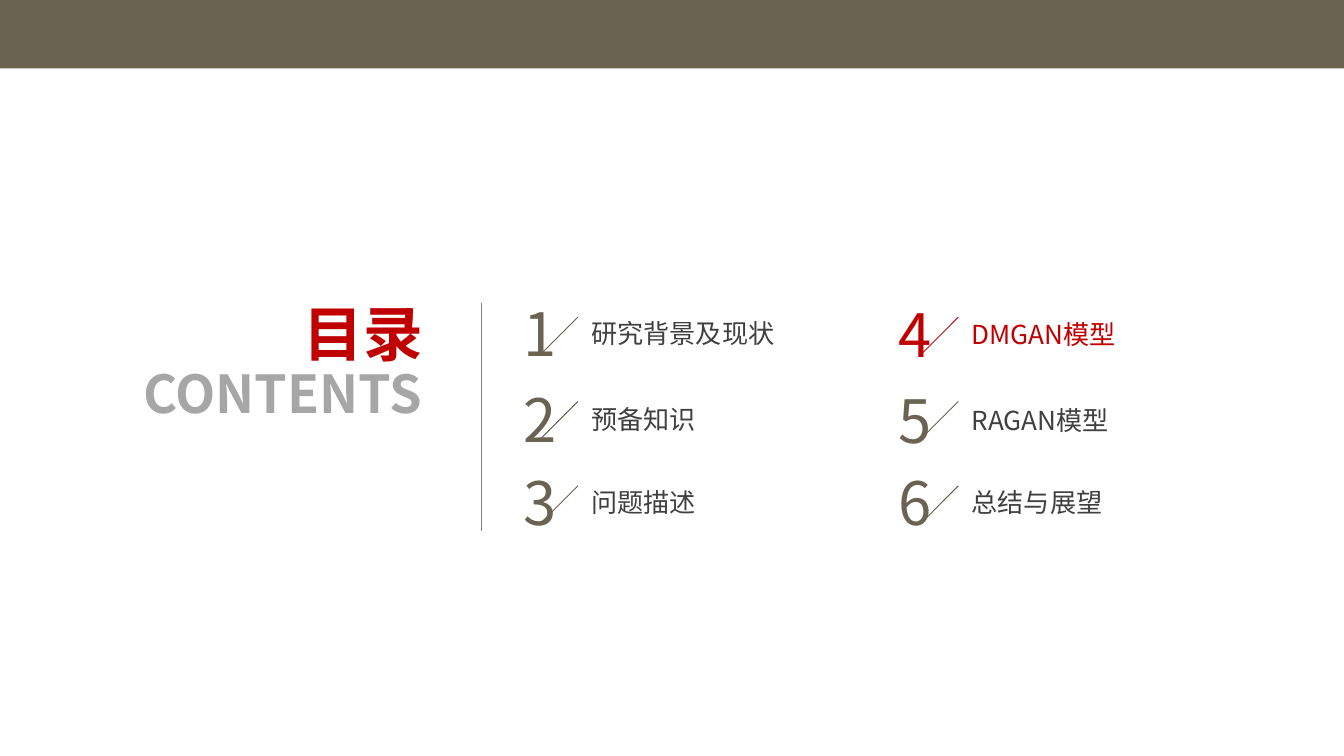
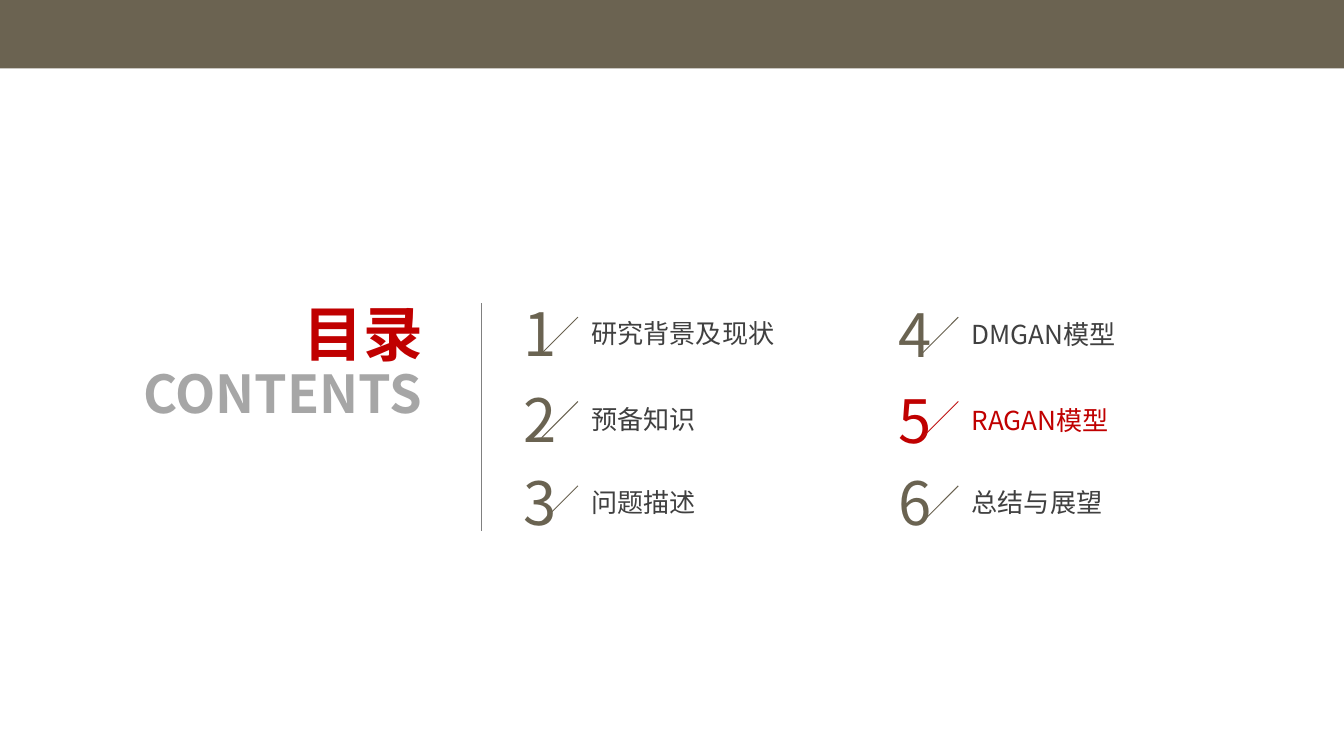
from dataclasses import dataclass

from lxml import etree
from pptx import Presentation
from pptx.dml.color import RGBColor
from pptx.enum.shapes import MSO_CONNECTOR, MSO_SHAPE
from pptx.enum.text import MSO_ANCHOR, MSO_AUTO_SIZE, PP_ALIGN
from pptx.oxml.ns import qn
from pptx.util import Pt

RECTANGLE = MSO_SHAPE.RECTANGLE
STRAIGHT = MSO_CONNECTOR.STRAIGHT
LEFT, CENTER, RIGHT = PP_ALIGN.LEFT, PP_ALIGN.CENTER, PP_ALIGN.RIGHT
TOP = MSO_ANCHOR.TOP
GROW = MSO_AUTO_SIZE.SHAPE_TO_FIT_TEXT

FONT = "Noto Sans CJK SC"
COLORS = {
    "band": "6B6351",
    "olive": "6A6351",
    "red": "C00000",
    "red_line": "BF1313",
    "label": "404040",
    "contents": "A6A6A6",
    "divider": "808080",
}
TITLE_ONLY = 5

# Agenda geometry, in points
COLUMN_LEFT = (273.6, 474.5)
COLUMN_TEXT_LEFT = (309.6, 513.4)
SLASH_TOP, SLASH_PITCH, SLASH_SIZE = 169.9, 45.2, 19.4
NUMBER_RISE = 10.8
ROWS = 3


@dataclass(frozen=True)
class Entry:
    label: str
    top: float
    width: float


@dataclass(frozen=True)
class TextStyle:
    size: float
    color: str
    bold: bool = False
    align: PP_ALIGN = LEFT
    wrap: bool = False


ENTRIES = (
    Entry("研究背景及现状", 166.3, 113.8),
    Entry("预备知识", 212.4, 71.3),
    Entry("问题描述", 257, 71.3),
    Entry("DMGAN模型", 167, 96.5),
    Entry("RAGAN模型", 213.1, 92.9),
    Entry("总结与展望", 257, 85),
)
CURRENT_ENTRIES = (4, 5)


def rgb(color: str) -> RGBColor:
    return RGBColor.from_string(COLORS[color])


def write(box, text: str, left: float, top: float, width: float, height: float,
          style: TextStyle) -> None:
    """Place a text box or placeholder and fill it with one styled run."""
    box.left, box.top, box.width, box.height = map(Pt, (left, top, width, height))
    frame = box.text_frame
    frame.word_wrap = style.wrap
    frame.auto_size = GROW
    frame.vertical_anchor = TOP
    paragraph = frame.paragraphs[0]
    paragraph.alignment = style.align
    run = paragraph.add_run()
    run.text = text
    run.font.size = Pt(style.size)
    run.font.bold = style.bold
    run.font.color.rgb = rgb(style.color)
    run.font.name = FONT
    # East Asian glyphs need their own typeface entry
    etree.SubElement(run.font._element, qn("a:ea"), typeface=FONT)


def add_text(shapes, text: str, left: float, top: float, width: float,
             height: float, style: TextStyle) -> None:
    box = shapes.add_textbox(0, 0, 0, 0)
    write(box, text, left, top, width, height, style)


def add_line(shapes, x1: float, y1: float, x2: float, y2: float, color: str) -> None:
    line = shapes.add_connector(STRAIGHT, Pt(x1), Pt(y1), Pt(x2), Pt(y2))
    line.line.color.rgb = rgb(color)
    line.line.width = Pt(0.5)
    etree.SubElement(line.element.spPr, qn("a:effectLst"))


def add_entry(slide, index: int, entry: Entry, is_current: bool) -> None:
    column, row = divmod(index, ROWS)
    text_left = COLUMN_TEXT_LEFT[column]
    label_style = TextStyle(14, "red" if is_current else "label")
    number_style = TextStyle(32, "red" if is_current else "olive", align=CENTER)
    slash_top = SLASH_TOP + row * SLASH_PITCH

    add_text(slide.shapes, entry.label, text_left, entry.top, entry.width, 24.5,
             label_style)
    marker = slide.shapes.add_group_shape()
    add_text(marker.shapes, str(index + 1), COLUMN_LEFT[column],
             entry.top - NUMBER_RISE, 29.5, 46, number_style)
    add_line(marker.shapes, text_left, slash_top, text_left - SLASH_SIZE,
             slash_top + SLASH_SIZE, "red_line" if is_current else "olive")


def add_band_to_master(prs, slide) -> None:
    """Draw the top band, then move it behind everything on the master."""
    band = slide.shapes.add_shape(RECTANGLE, 0, Pt(-0.7), prs.slide_width, Pt(37.4))
    band.shadow.inherit = False
    band.fill.solid()
    band.fill.fore_color.rgb = rgb("band")
    band.line.fill.background()
    prs.slide_master.shapes.element.insert(2, band.element)


def add_agenda(prs, current: int):
    slide = prs.slides.add_slide(prs.slide_layouts[TITLE_ONLY])
    # Heading
    write(slide.shapes.title, "目录", 155.5, 155.5, 79.2, 46,
          TextStyle(32, "red", bold=True))
    add_text(slide.shapes, "CONTENTS", 17.3, 190, 216, 41,
             TextStyle(28, "contents", bold=True, align=RIGHT, wrap=True))
    add_line(slide.shapes, 258.2, 162.5, 258.2, 284.4, "divider")
    # Numbered chapters
    for index, entry in enumerate(ENTRIES):
        add_entry(slide, index, entry, index + 1 == current)
    return slide


def main() -> None:
    prs = Presentation()
    prs.slide_width, prs.slide_height = Pt(720), Pt(405)
    slides = [add_agenda(prs, current) for current in CURRENT_ENTRIES]
    add_band_to_master(prs, slides[0])
    prs.save("out.pptx")


if __name__ == "__main__":
    main()
